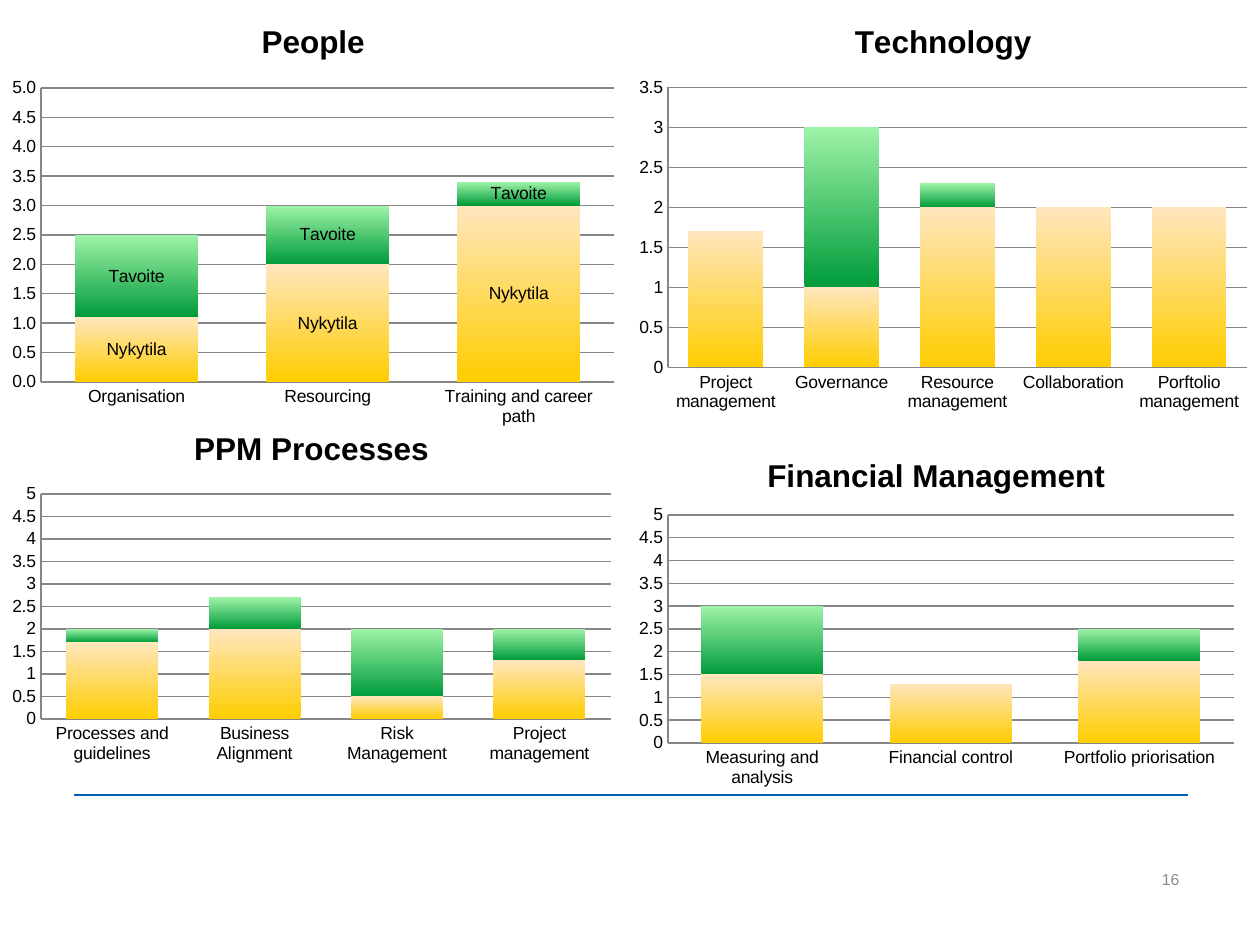
from lxml import etree
from pptx import Presentation
from pptx.chart.data import CategoryChartData
from pptx.dml.color import RGBColor
from pptx.enum import chart as charts, shapes, text
from pptx.oxml import parse_xml
from pptx.oxml.ns import nsdecls, qn
from pptx.util import Pt

COLORS = {"black": "000000", "grid": "868686", "rule": "005EB8", "number": "8C8C8C"}
GRADIENTS = [("FFCD00", "FFE6BE"), ("009B3A", "9FF3A9")]
FONT = "Arial"
PAGE_NUMBER = "16"

CHARTS = [
    {"title": "People", "box": (0, 0, 358, 249), "plot": (23.4, 50.3, 351, 218.3),
     "max": 5, "format": "0.0", "labels": True,
     "categories": ["Organisation", "Resourcing", "Training and career path"],
     "series": [("Nykytila", (1.1, 2, 3)), ("Tavoite", (1.4, 1, 0.4))]},
    {"title": "Technology", "box": (358, 0, 362, 240), "plot": (381.7, 50, 712.6, 210),
     "max": 3.5, "format": "General", "labels": False,
     "categories": ["Project management", "Governance", "Resource management",
                    "Collaboration", "Porftolio management"],
     "series": [("Series 1", (1.7, 1, 2, 2, 2)), ("Series 2", (0, 2, 0.3, 0, 0))]},
    {"title": "Financial Management", "box": (358, 249, 354, 205),
     "plot": (381.7, 294.3, 705, 424.6),
     "max": 5, "format": "General", "labels": False,
     "categories": ["Measuring and analysis", "Financial control", "Portfolio priorisation"],
     "series": [("Series 1", (1.5, 1.3, 1.8)), ("Series 2", (1.5, 0, 0.7))]},
    {"title": "PPM Processes", "box": (0, 233, 356, 207), "plot": (23.4, 282.3, 349, 410.9),
     "max": 5, "format": "General", "labels": False,
     "categories": ["Processes and guidelines", "Business Alignment",
                    "Risk Management", "Project management"],
     "series": [("Series 1", (1.7, 2, 0.5, 1.3)), ("Series 2", (0.3, 0.7, 1.5, 0.7))]},
]


def color(name):
    return RGBColor.from_string(COLORS[name])


def style_font(font, size, name, bold=False):
    font.name, font.size, font.bold = FONT, Pt(size), bold
    font.color.rgb = color(name)


def style_line(line):
    line.color.rgb = color("grid")
    line.width = Pt(0.75)


def place_plot(chart, box, plot):
    left, top, width, height = box
    x1, y1, x2, y2 = plot
    fractions = {"x": (x1 - left) / width, "y": (y1 - top) / height,
                 "w": (x2 - x1) / width, "h": (y2 - y1) / height}
    values = "".join(f'<c:{key} val="{value:.4f}"/>' for key, value in fractions.items())
    area = chart.plots[0]._element.getparent()
    for layout in area.findall(qn("c:layout")):
        area.remove(layout)
    area.insert(0, parse_xml(
        f'<c:layout {nsdecls("c")}><c:manualLayout><c:layoutTarget val="inner"/>'
        f'<c:xMode val="edge"/><c:yMode val="edge"/>{values}</c:manualLayout></c:layout>'))


def style_axes(chart, content):
    for axis in (chart.category_axis, chart.value_axis):
        axis.major_tick_mark = axis.minor_tick_mark = charts.XL_TICK_MARK.NONE
        style_font(axis.tick_labels.font, 10, "black")
        style_line(axis.format.line)
    axis.minimum_scale, axis.maximum_scale, axis.major_unit = 0, content["max"], 0.5
    axis.has_major_gridlines = True
    style_line(axis.major_gridlines.format.line)
    axis.tick_labels.number_format = content["format"]
    axis.tick_labels.number_format_is_linked = False


def style_series(series, gradient, labelled):
    fill = series.format.fill
    fill.gradient()
    fill.gradient_angle = 90
    for stop, value in zip(fill.gradient_stops, gradient):
        stop.color.rgb = RGBColor.from_string(value)
    if labelled:
        labels = series.data_labels
        labels.show_series_name, labels.show_value = True, False
        labels.position = charts.XL_LABEL_POSITION.CENTER
        style_font(labels.font, 10, "black")


def add_stacked_chart(slide, content):
    data = CategoryChartData()
    data.categories = content["categories"]
    for name, values in content["series"]:
        data.add_series(name, values)
    chart = slide.shapes.add_chart(charts.XL_CHART_TYPE.COLUMN_STACKED,
                                   *map(Pt, content["box"]), data).chart
    style_font(chart.font, 10, "black")
    chart.has_legend = False
    chart.has_title = True
    title = chart.chart_title
    title.include_in_layout = False
    title.text_frame.text = content["title"]
    style_font(title.text_frame.paragraphs[0].runs[0].font, 18, "black", True)
    plot = chart.plots[0]
    plot.gap_width, plot.overlap, plot.vary_by_categories = 55, 100, False
    style_axes(chart, content)
    for series, gradient in zip(plot.series, GRADIENTS):
        style_series(series, gradient, content["labels"])
    place_plot(chart, content["box"], content["plot"])


def add_footer(slide):
    rule = slide.shapes.add_connector(shapes.MSO_CONNECTOR.STRAIGHT,
                                      Pt(42.5), Pt(454.3), Pt(679), Pt(454.3))
    rule.line.color.rgb = color("rule")
    rule.line.width = Pt(1)
    etree.SubElement(rule._element.spPr, qn("a:effectLst"))

    frame = slide.shapes.add_textbox(Pt(388.8), Pt(496.1), Pt(285.1), Pt(13)).text_frame
    frame.word_wrap = True
    frame.vertical_anchor = text.MSO_ANCHOR.MIDDLE
    frame.margin_left, frame.margin_top = Pt(7.2), Pt(3.6)
    frame.margin_right, frame.margin_bottom = 0, Pt(3.6)
    frame.text = PAGE_NUMBER
    paragraph = frame.paragraphs[0]
    paragraph.alignment = text.PP_ALIGN.RIGHT
    style_font(paragraph.runs[0].font, 9, "number")


def main():
    presentation = Presentation()
    presentation.slide_width, presentation.slide_height = Pt(720), Pt(540)
    slide = presentation.slides.add_slide(presentation.slide_layouts[6])
    add_footer(slide)
    for content in CHARTS:
        add_stacked_chart(slide, content)
    presentation.save("out.pptx")


if __name__ == "__main__":
    main()
